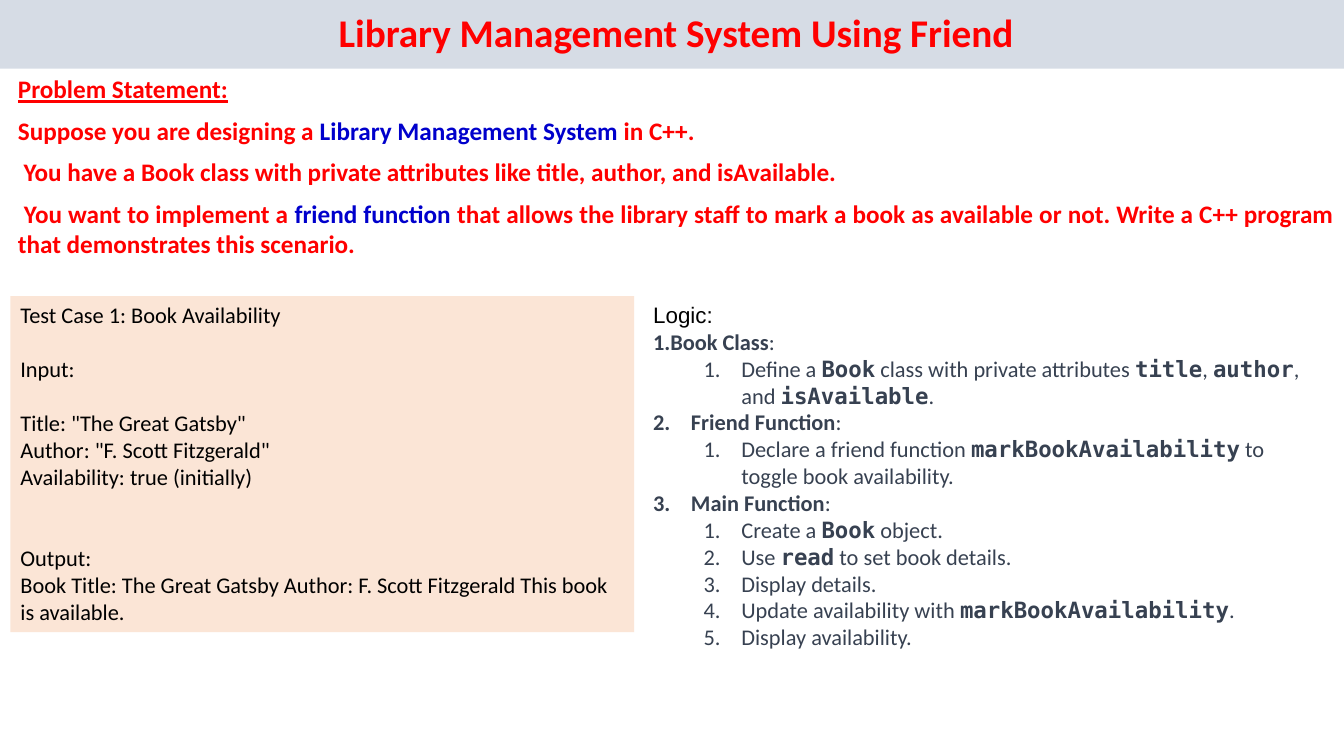
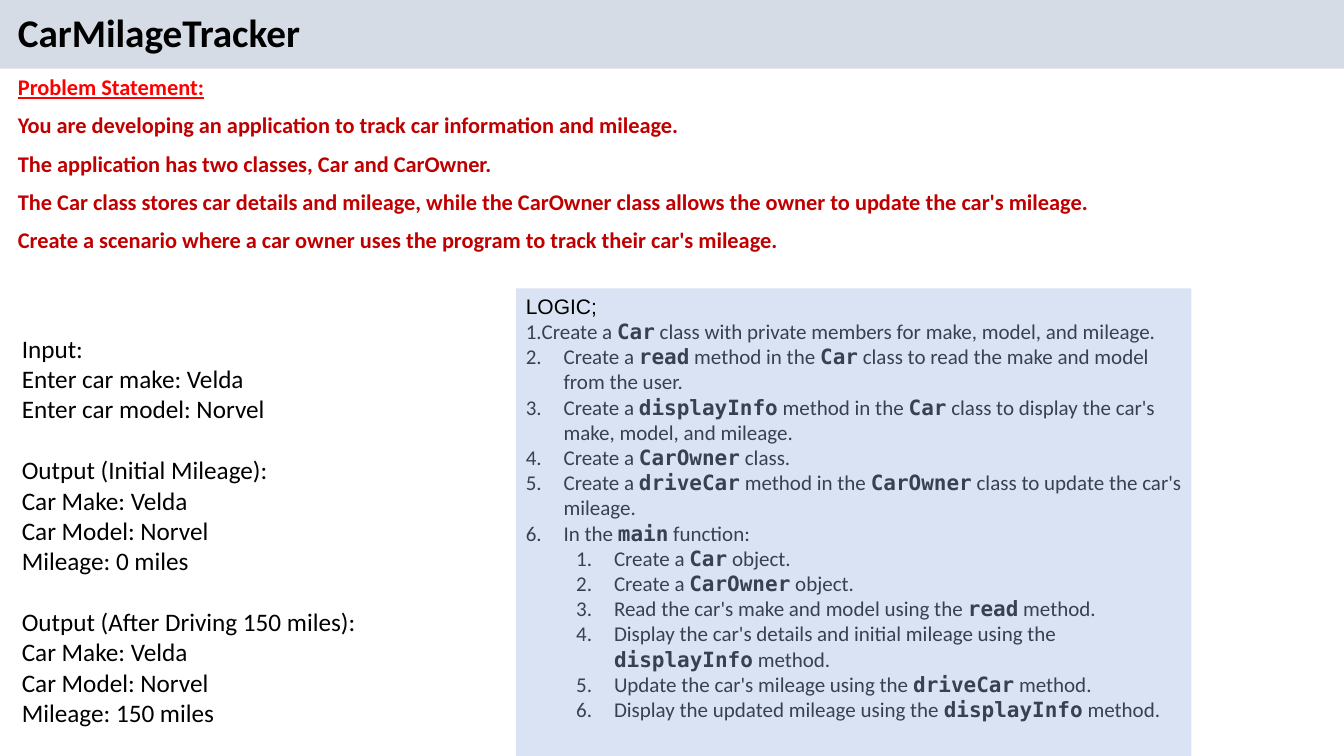
from dataclasses import dataclass

from lxml import etree
from pptx import Presentation
from pptx import util as u
from pptx.dml import color
from pptx.enum import shapes, text
from pptx.oxml import ns

Pt = u.Pt
LEFT, MID, JUST = text.PP_ALIGN.LEFT, text.PP_ALIGN.CENTER, text.PP_ALIGN.JUSTIFY


@dataclass(frozen=True)
class Theme:
    # Colours
    band: str = "D6DCE5"
    peach: str = "FBE5D6"
    sky: str = "DAE3F3"
    red: str = "FF0000"
    dark: str = "C00000"
    blue: str = "0000CC"
    slate: str = "374151"
    black: str = "000000"
    # Fonts and sizes
    body: str = "Calibri"
    label: str = "Arial"
    code: str = "DejaVu Sans Mono"
    title: int = 28
    large: int = 18
    small: int = 16
    tight: int = 15
    # Spacing
    wide: int = 960
    high: int = 540
    top: int = 49
    edge: float = 5.7
    after: int = 8
    hang: int = 27
    step: int = 36
    line: float = 1.22


T = Theme()


@dataclass(frozen=True)
class Style:
    size: int
    ink: str
    font: str = T.body
    bold: bool = False
    under: bool = False


# Text parts
def add_run(para, words, style):
    run = para.add_run()
    run.text = words
    font = run.font
    font.name, font.size = style.font, Pt(style.size)
    font.bold, font.underline = style.bold, style.under
    font.color.rgb = color.RGBColor.from_string(style.ink)


def add_para(frame, words, plain, mark=None, align=LEFT):
    """Add a paragraph; words between bars take the mark style."""
    first = frame.paragraphs[0]
    para = frame.add_paragraph() if first.runs else first
    para.alignment = align
    for i, part in enumerate(words.split("|")):
        if part:
            add_run(para, part, mark if i % 2 else plain)
    return para


def set_indent(para, left, first=0):
    props = para._p.get_or_add_pPr()
    props.set("marL", str(Pt(left)))
    props.set("indent", str(Pt(first)))
    return props


def set_number(para, level, flush):
    para.level = level
    if flush:
        props = set_indent(para, 0)
    else:
        props = set_indent(para, T.hang + level * T.step, -T.hang)
    etree.SubElement(props, ns.qn("a:buFont"), typeface="+mj-lt")
    etree.SubElement(props, ns.qn("a:buAutoNum"), type="arabicPeriod")


# Boxes
def add_box(slide, area, fill=None):
    area = [Pt(n) for n in area]
    if fill:
        box = slide.shapes.add_shape(shapes.MSO_SHAPE.RECTANGLE, *area)
        box.shadow.inherit = False
        box.fill.solid()
        box.fill.fore_color.rgb = color.RGBColor.from_string(fill)
        box.line.fill.background()
    else:
        box = slide.shapes.add_textbox(*area)
    frame = box.text_frame
    frame.word_wrap = True
    frame.vertical_anchor = text.MSO_ANCHOR.TOP
    return frame


def add_title(slide, words, ink, align):
    frame = add_box(slide, (0, 0, T.wide, T.top), T.band)
    frame.vertical_anchor = text.MSO_ANCHOR.MIDDLE
    para = add_para(frame, words, Style(T.title, ink, bold=True), align=align)
    para.line_spacing, para.space_after = 0.9, Pt(T.after)
    set_indent(para, T.edge)


def add_problem(slide, high, size, ink, lines):
    frame = add_box(slide, (0, T.top, T.wide, high))
    head = Style(size, T.red, bold=True, under=True)
    plain = Style(size, ink, bold=True)
    mark = Style(size, T.blue, bold=True)
    paras = [add_para(frame, "Problem Statement:", head, align=JUST)]
    paras += [add_para(frame, line, plain, mark, JUST) for line in lines]
    for para in paras:
        para.space_after = Pt(T.after)
        set_indent(para, T.edge)


def add_sample(slide, area, size, groups, fill=None):
    """Each group is the number of lines left free above it, then its lines."""
    frame = add_box(slide, area, fill)
    for gap, lines in groups:
        for i, line in enumerate(lines):
            para = add_para(frame, line, Style(size, T.black))
            if gap and i == 0:
                para.space_before = Pt(round(gap * size * T.line, 1))


def add_logic(slide, area, size, label, steps, fill=None):
    """Each step is its level, its words and whether its mark is a heading."""
    frame = add_box(slide, area, fill)
    add_para(frame, label, Style(size, T.black, T.label))
    plain = Style(size, T.slate)
    head = Style(size, T.slate, bold=True)
    code = Style(size, T.slate, T.code, bold=True)
    for i, (level, words, heads) in enumerate(steps):
        para = add_para(frame, words, plain, head if heads else code)
        set_number(para, level, flush=i == 0)


# Slides
def add_library(slide):
    add_title(slide, "Library Management System Using Friend", T.red, MID)
    add_problem(slide, 140, T.large, T.red, [
        "Suppose you are designing a |Library Management System |in C++.",
        " You have a Book class with private attributes like title, author, "
        "and isAvailable.",
        " You want to implement a |friend function |that allows the library "
        "staff to mark a book as available or not. Write a C++ program that "
        "demonstrates this scenario.",
    ])
    add_sample(slide, (7.5, 211.5, 445.5, 240), T.small, [
        (0, ["Test Case 1: Book Availability"]),
        (1, ["Input:"]),
        (1, ['Title: "The Great Gatsby"',
             'Author: "F. Scott Fitzgerald"',
             "Availability: true (initially)"]),
        (2, ["Output:",
             "Book Title: The Great Gatsby Author: F. Scott Fitzgerald "
             "This book is available."]),
    ], T.peach)
    add_logic(slide, (459.5, 211.5, 481.5, 278.5), T.small, "Logic:", [
        (0, "|Book Class|:", True),
        (1, "Define a |Book| class with private attributes |title|, |author|, "
            "and |isAvailable|.", False),
        (0, "|Friend Function|:", True),
        (1, "Declare a friend function |markBookAvailability| to toggle "
            "book availability.", False),
        (0, "|Main Function|:", True),
        (1, "Create a |Book| object.", False),
        (1, "Use |read| to set book details.", False),
        (1, "Display details.", False),
        (1, "Update availability with |markBookAvailability|.", False),
        (1, "Display availability.", False),
    ])


def add_car(slide):
    add_title(slide, "CarMilageTracker", T.black, JUST)
    add_problem(slide, 164, T.small, T.dark, [
        "You are developing an application to track car information and "
        "mileage.",
        "The application has two classes, Car and CarOwner.",
        "The Car class stores car details and mileage, while the CarOwner "
        "class allows the owner to update the car's mileage.",
        "Create a scenario where a car owner uses the program to track "
        "their car's mileage.",
    ])
    make, model = "Velda", "Norvel"
    car = [f"Car Make: {make}", f"Car Model: {model}"]
    add_sample(slide, (8.5, 234.5, 360, 291), T.large, [
        (0, ["Input:", f"Enter car make: {make}", f"Enter car model: {model}"]),
        (1, ["Output (Initial Mileage):", *car, "Mileage: 0 miles"]),
        (1, ["Output (After Driving 150 miles):", *car, "Mileage: 150 miles"]),
    ])
    steps = [
        (0, "Create a |Car| class with private members for make, model, "
            "and mileage."),
        (0, "Create a |read| method in the |Car| class to read the make and "
            "model from the user."),
        (0, "Create a |displayInfo| method in the |Car| class to display the "
            "car's make, model, and mileage."),
        (0, "Create a |CarOwner| class."),
        (0, "Create a |driveCar| method in the |CarOwner| class to update the "
            "car's mileage."),
        (0, "In the |main| function:"),
        (1, "Create a |Car| object."),
        (1, "Create a |CarOwner| object."),
        (1, "Read the car's make and model using the |read| method."),
        (1, "Display the car's details and initial mileage using the "
            "|displayInfo| method."),
        (1, "Update the car's mileage using the |driveCar| method."),
        (1, "Display the updated mileage using the |displayInfo| method."),
    ]
    add_logic(slide, (368.5, 206, 482.5, 334), T.tight, "LOGIC;",
              [(*step, False) for step in steps], T.sky)


def main():
    deck = Presentation()
    deck.slide_width, deck.slide_height = Pt(T.wide), Pt(T.high)
    blank = deck.slide_layouts[6]
    for build in (add_library, add_car):
        build(deck.slides.add_slide(blank))
    deck.save("out.pptx")


if __name__ == "__main__":
    main()
